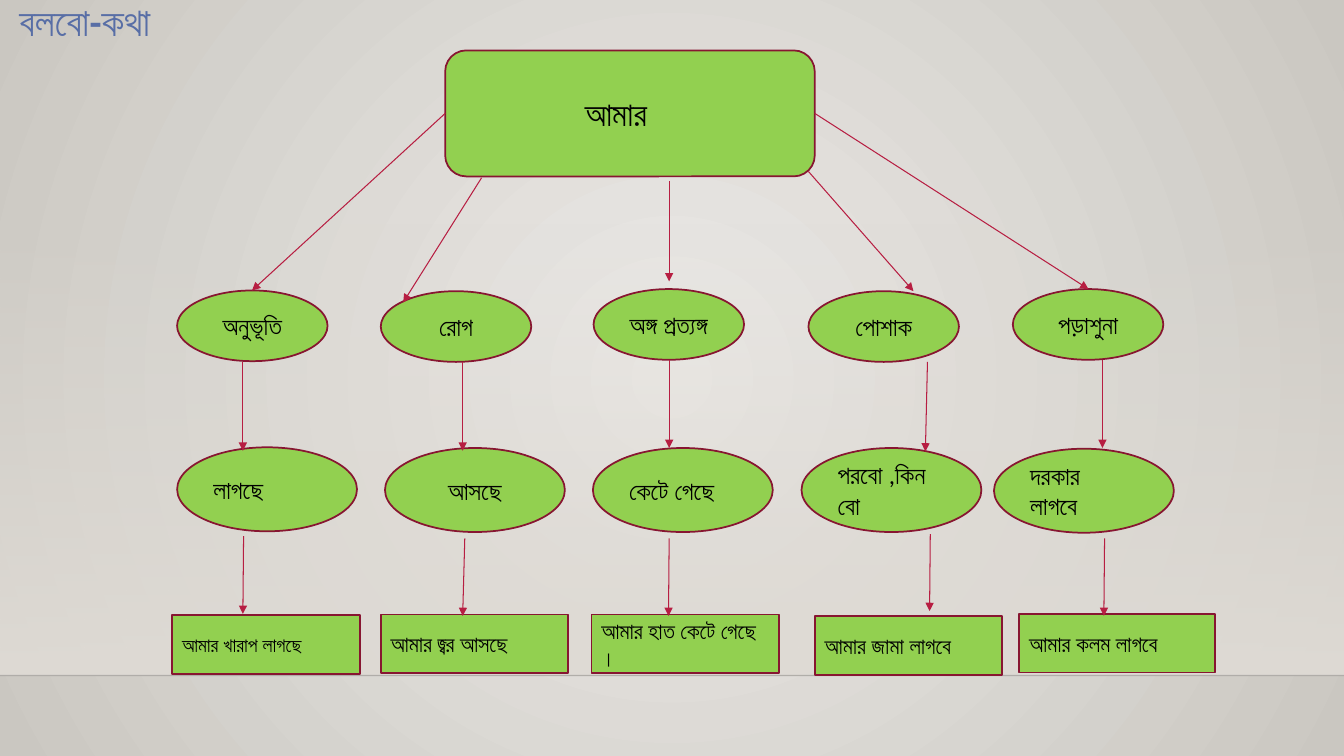
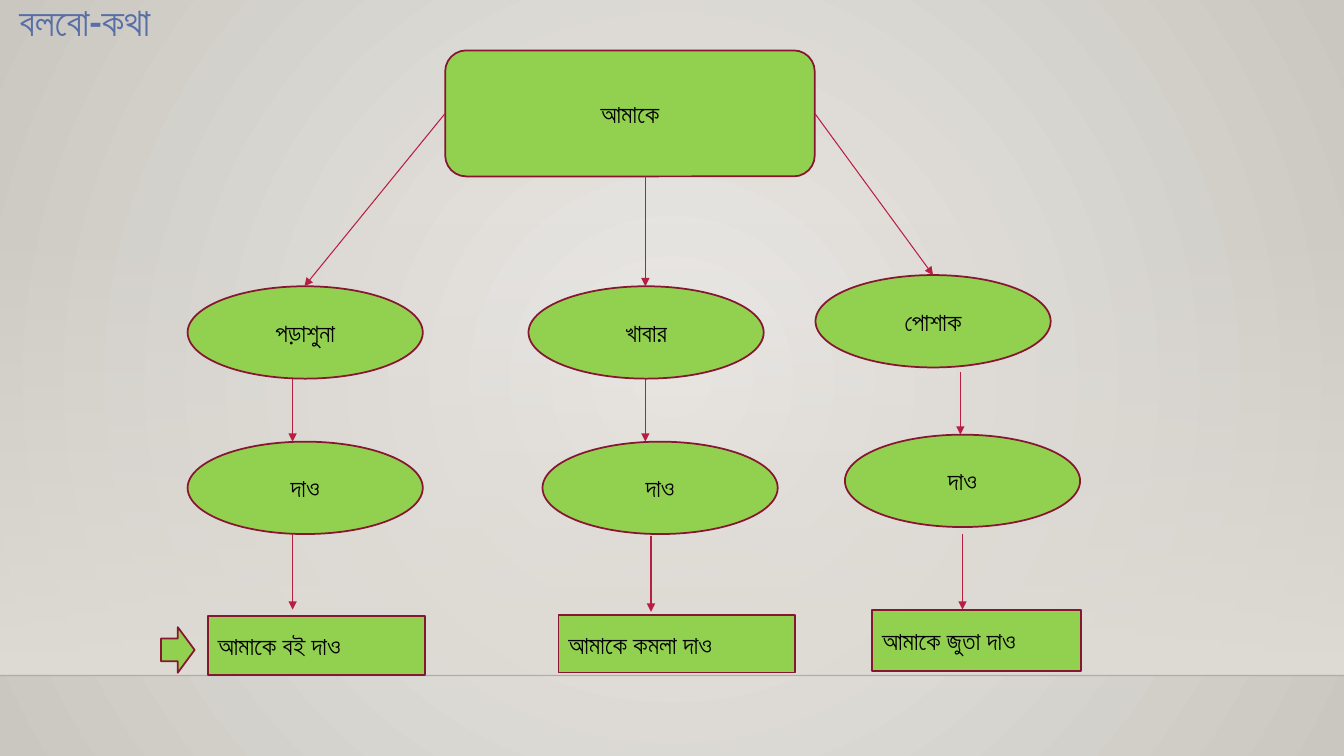
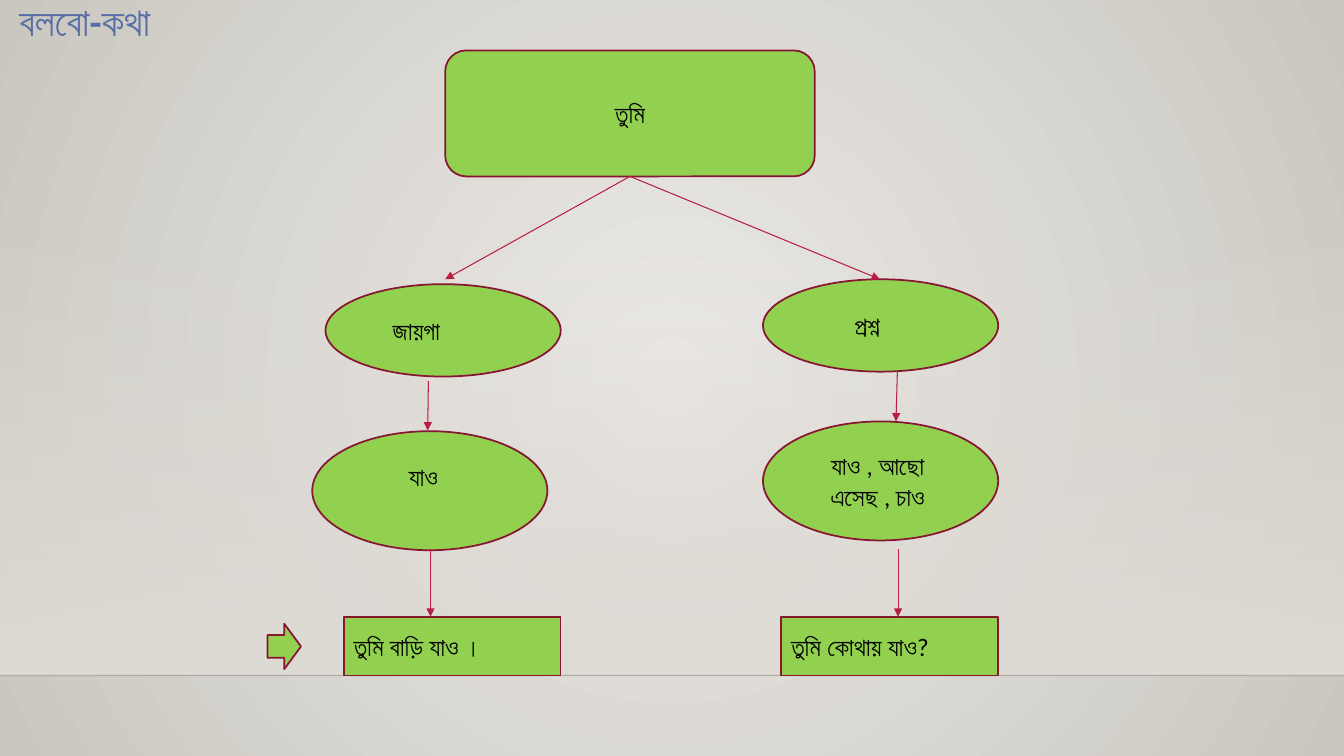
import dataclasses

import pptx
import pptx.dml.color
import pptx.enum.shapes
import pptx.enum.text
import pptx.oxml
import pptx.oxml.ns
import pptx.util
from lxml import etree

Pt = pptx.util.Pt
qn = pptx.oxml.ns.qn
SHAPE = pptx.enum.shapes.MSO_SHAPE
ALIGN = pptx.enum.text.PP_ALIGN
ANCHOR = pptx.enum.text.MSO_ANCHOR


@dataclasses.dataclass(frozen=True)
class Theme:
    font: str = "Calibri"
    fill: str = "92D050"
    outline: str = "871631"
    arrow: str = "B71E42"
    text: str = "000000"
    title: str = "586EA6"
    center: str = "ECEAE7"
    edge: str = "CAC7C1"
    band: str = "DFDBD5"
    floor: str = "000001"
    title_size: int = 28
    root_size: int = 24
    body_size: int = 18
    note_size: int = 16
    small_size: int = 14


T = Theme()
WIDTH, HEIGHT = 960, 540
BAND_TOP, FLOOR = 159, 482.5
TITLE = "বলবো-কথা"
ROOT = (318, 36, 264, 90)


@dataclasses.dataclass
class Label:
    """Words inside a shape; pad_right and pad_bottom push them off centre."""
    lines: tuple
    size: int = T.body_size
    align: int = ALIGN.CENTER
    pad_right: float = 0
    pad_bottom: float = 0


@dataclasses.dataclass
class Branch:
    """One column. Offsets count from its topic corner, spoke_from from the root."""
    at: tuple
    topic: Label
    verb: Label
    note: Label
    verb_at: tuple
    note_box: tuple
    spoke_from: tuple
    spoke_to: tuple
    drops: tuple


def rgb(value):
    return pptx.dml.color.RGBColor.from_string(value)


def label(*lines, **options):
    return Label(lines, **options)


def left(*lines, **options):
    return Label(lines, align=ALIGN.LEFT, **options)


def note(text, size=T.body_size):
    return left(text, size=size)


# Basic parts
def add_run(p, text, size, color, bold=False):
    r = p.add_run()
    r.text = text
    r.font.name = T.font
    r.font.size = Pt(size)
    r.font.bold = bold
    r.font.color.rgb = rgb(color)


def add_box(slide, kind, box, words=None):
    sp = slide.shapes.add_shape(kind, *map(Pt, box))
    sp.shadow.inherit = False
    sp.fill.solid()
    sp.fill.fore_color.rgb = rgb(T.fill)
    sp.line.color.rgb = rgb(T.outline)
    sp.line.width = Pt(1.25)
    if words is None:
        return
    tf = sp.text_frame
    tf.word_wrap = True
    tf.vertical_anchor = ANCHOR.MIDDLE
    tf.margin_right = Pt(7.2 + words.pad_right)
    tf.margin_bottom = Pt(3.6 + words.pad_bottom)
    for i, line in enumerate(words.lines):
        p = tf.add_paragraph() if i else tf.paragraphs[0]
        p.alignment = words.align
        add_run(p, line, words.size, T.text)


def add_line(slide, start, end, color, width):
    line = slide.shapes.add_connector(
        pptx.enum.shapes.MSO_CONNECTOR.STRAIGHT, *map(Pt, (*start, *end)))
    line.line.color.rgb = rgb(color)
    line.line.width = Pt(width)
    etree.SubElement(line.element.spPr, qn("a:effectLst"))
    return line


def add_arrow(slide, start, end):
    line = add_line(slide, start, end, T.arrow, 0.75)
    ln = line.element.spPr.find(qn("a:ln"))
    etree.SubElement(ln, qn("a:tailEnd"), type="triangle")


def offset(origin, point):
    return origin[0] + point[0], origin[1] + point[1]


# Shared backdrop, kept on the master
def set_gradient(fill, first, last):
    fill.gradient()
    for stop, color, place in zip(fill.gradient_stops, (first, last), (0, 1)):
        stop.color.rgb = rgb(color)
        stop.position = place


def set_alpha(element, percent):
    color = element.xpath(".//a:srgbClr")[0]
    etree.SubElement(color, qn("a:alpha"), val=str(percent * 1000))


def add_backdrop(master, slide):
    set_gradient(master.background.fill, T.center, T.edge)
    grad = master.element.xpath(".//p:bgPr/a:gradFill")[0]
    for lin in grad.findall(qn("a:lin")):
        grad.remove(lin)
    circle = etree.SubElement(grad, qn("a:path"), path="circle")
    etree.SubElement(circle, qn("a:fillToRect"),
                     {side: "50000" for side in "ltrb"})

    band = slide.shapes.add_shape(
        SHAPE.RECTANGLE, 0, Pt(BAND_TOP), Pt(WIDTH), Pt(FLOOR - BAND_TOP))
    band.shadow.inherit = False
    band.line.fill.background()
    set_gradient(band.fill, T.band, T.band)
    band.fill.gradient_angle = 270
    set_alpha(band.element, 0)

    floor = add_line(slide, (0, FLOOR), (WIDTH, FLOOR), T.floor, 1)
    set_alpha(floor.element, 20)

    tree = master.element.cSld.spTree
    for i, part in enumerate((band, floor)):
        part.element.xpath(".//p:cNvPr")[0].set("id", str(100 + i))
        tree.insert(2 + i, part.element)


# Regions of a word map
def add_title(slide):
    sp = slide.shapes.title
    sp.left, sp.top, sp.width, sp.height = map(Pt, (0, 0, 121, 30))
    tf = sp.text_frame
    tf.auto_size = pptx.enum.text.MSO_AUTO_SIZE.NONE
    tf.word_wrap = True
    tf.vertical_anchor = ANCHOR.MIDDLE
    tf.margin_left = tf.margin_right = tf.margin_top = tf.margin_bottom = 0
    p = tf.paragraphs[0]
    p.alignment = ALIGN.CENTER
    add_run(p, TITLE, T.title_size, T.title, bold=True)


def add_branch(slide, b, topic_size, verb_size):
    add_box(slide, SHAPE.OVAL, (*b.at, *topic_size), b.topic)
    add_box(slide, SHAPE.OVAL, (*offset(b.at, b.verb_at), *verb_size), b.verb)
    add_box(slide, SHAPE.RECTANGLE,
            (*offset(b.at, b.note_box), *b.note_box[2:]), b.note)
    add_arrow(slide, offset(ROOT, b.spoke_from), offset(b.at, b.spoke_to))
    for drop in b.drops:
        add_arrow(slide, offset(b.at, drop[:2]), offset(b.at, drop[2:]))


def add_word_map(prs, root, topic_size, verb_size, branches, pointer=None):
    slide = prs.slides.add_slide(prs.slide_layouts[5])
    add_title(slide)
    add_box(slide, SHAPE.ROUNDED_RECTANGLE, ROOT, root)
    for b in branches:
        add_branch(slide, b, topic_size, verb_size)
    if pointer:
        add_box(slide, SHAPE.RIGHT_ARROW, (*pointer, 24, 32.5))
    return slide


# Content
MINE = [
    Branch((126.5, 207.5), label("অনুভূতি"), left("লাগছে"),
           note("আমার খারাপ লাগছে", T.small_size),
           (0, 112), (-3.5, 232, 134, 42), (0, 45), (53.5, 0),
           ((47, 51, 47, 114.5), (47.5, 175.5, 47, 231))),
    Branch((272, 208), label("রোগ"), label("আসছে"),
           note("আমার জ্বর আসছে", T.note_size),
           (3, 112), (0, 231, 134, 42), (26, 91), (16, 8),
           ((58.5, 50.5, 58.5, 114), (60, 176.5, 58.5, 232))),
    Branch((424, 206.5), label("অঙ্গ প্রত্যঙ্গ"), left("কেটে গেছে"),
           note("আমার হাত কেটে গেছে ।", T.note_size),
           (-0.5, 113.5), (-1.5, 232.5, 134, 42), (160, 93.5), (54, -5.5),
           ((54, 50.5, 54, 113.5), (54, 178, 53.5, 233.5))),
    Branch((577.5, 208), label("পোশাক"), left("পরবো ,কিনবো"),
           note("আমার জামা লাগবে", T.note_size),
           (-5, 112), (4.5, 232, 134, 42), (259.5, 86.5), (75, 0),
           ((85, 50.5, 83.5, 114.5), (87, 173.5, 86.5, 228.5))),
    Branch((723.5, 206.5), label("পড়াশুনা"), left("দরকার", "লাগবে"),
           note("আমার কলম লাগবে", T.note_size),
           (-13.5, 114), (4.5, 232, 140, 42), (264, 45), (54, 0),
           ((64, 50.5, 64, 113.5), (65.5, 178, 65, 233.5))),
]

TO_ME = [
    Branch((134, 204.5), label("পড়াশুনা"), label("দাও"), note("আমাকে বই দাও"),
           (0, 111), (14.5, 235.5, 155, 42), (0, 45), (83.5, 0),
           ((75, 66, 75, 111), (75, 177, 75, 231))),
    Branch((377.5, 204.5), label("খাবার"), label("দাও"), note("আমাকে কমলা দাও"),
           (10, 111), (21.5, 235, 169, 41), (143, 90), (83.5, 0),
           ((83.5, 66, 83.5, 111), (87.5, 178.5, 87.5, 232.5))),
    Branch((582.5, 196.5), label("পোশাক"), label("দাও"), note("আমাকে জুতা দাও"),
           (21, 114), (40.5, 239, 149, 44), (264, 45), (84, 0),
           ((103.5, 69, 103.5, 114), (105, 185, 105, 239))),
]

YOU = [
    Branch((232.5, 203), label("জায়গা", pad_right=38),
           label("যাও", pad_right=9, pad_bottom=21), note("তুমি বাড়ি যাও ।"),
           (-9.5, 105), (13, 237.5, 155, 42), (132, 90), (85.5, -3.5),
           ((73.5, 69, 73, 104.5), (75, 189.5, 75, 237.5))),
    Branch((545, 199.5), label("প্রশ্ন", pad_right=19),
           label("যাও , আছো", "এসেছ , চাও", pad_right=4), note("তুমি কোথায় যাও?"),
           (0, 101.5), (13, 241, 155, 42), (132, 90), (83.5, 0),
           ((96, 65.5, 95, 101.5), (96.5, 193, 96.5, 241))),
]


def main():
    prs = pptx.Presentation()
    prs.slide_width, prs.slide_height = Pt(WIDTH), Pt(HEIGHT)
    first = add_word_map(prs, label("আমার", size=T.root_size, pad_right=20),
                         (107.5, 50.5), (128.5, 60), MINE)
    add_word_map(prs, label("আমাকে"), (168, 66), (168, 66), TO_ME, (115, 448))
    add_word_map(prs, label("তুমি"), (168, 66), (168, 85), YOU, (191, 445.5))
    add_backdrop(prs.slide_master, first)
    prs.save("out.pptx")


if __name__ == "__main__":
    main()
